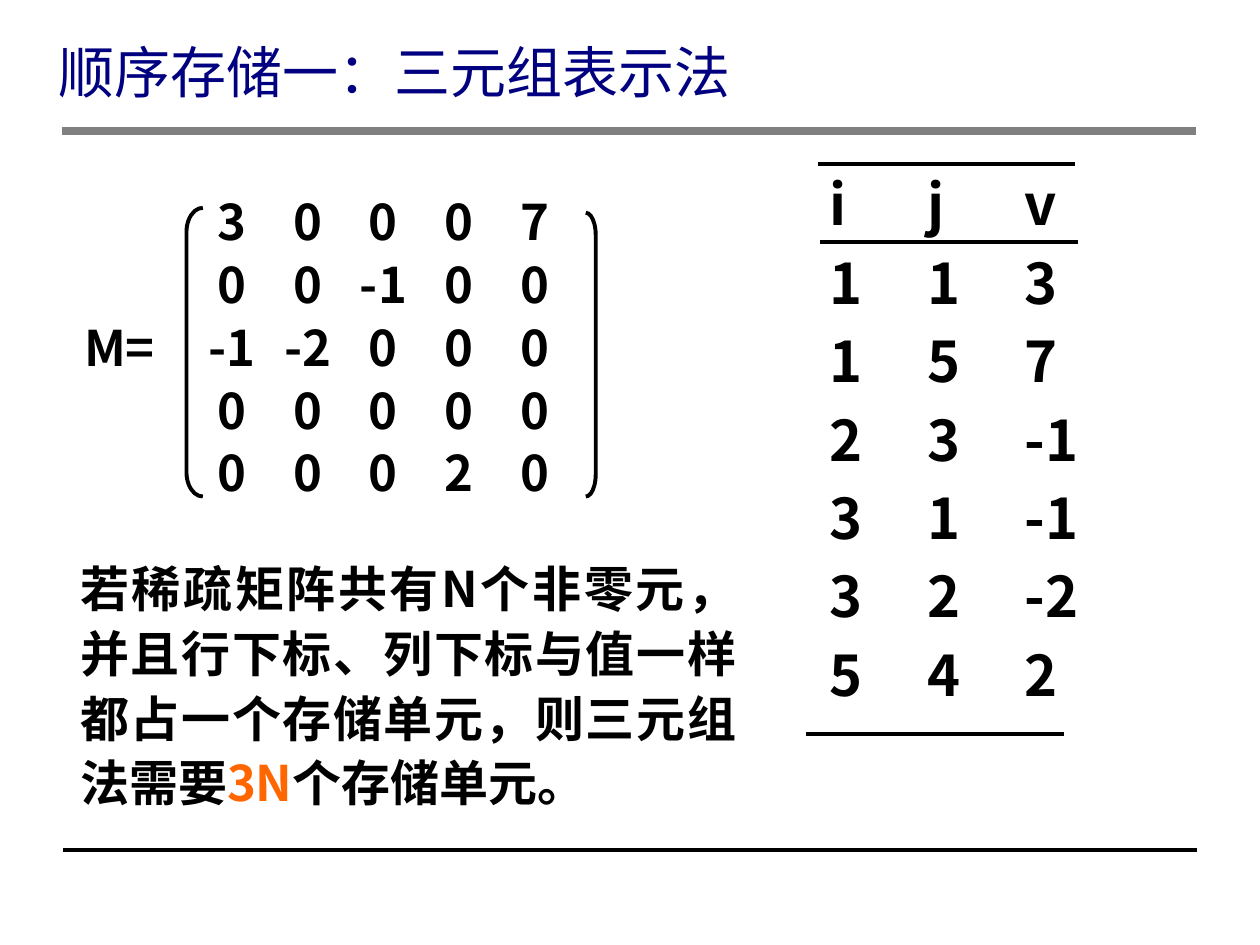
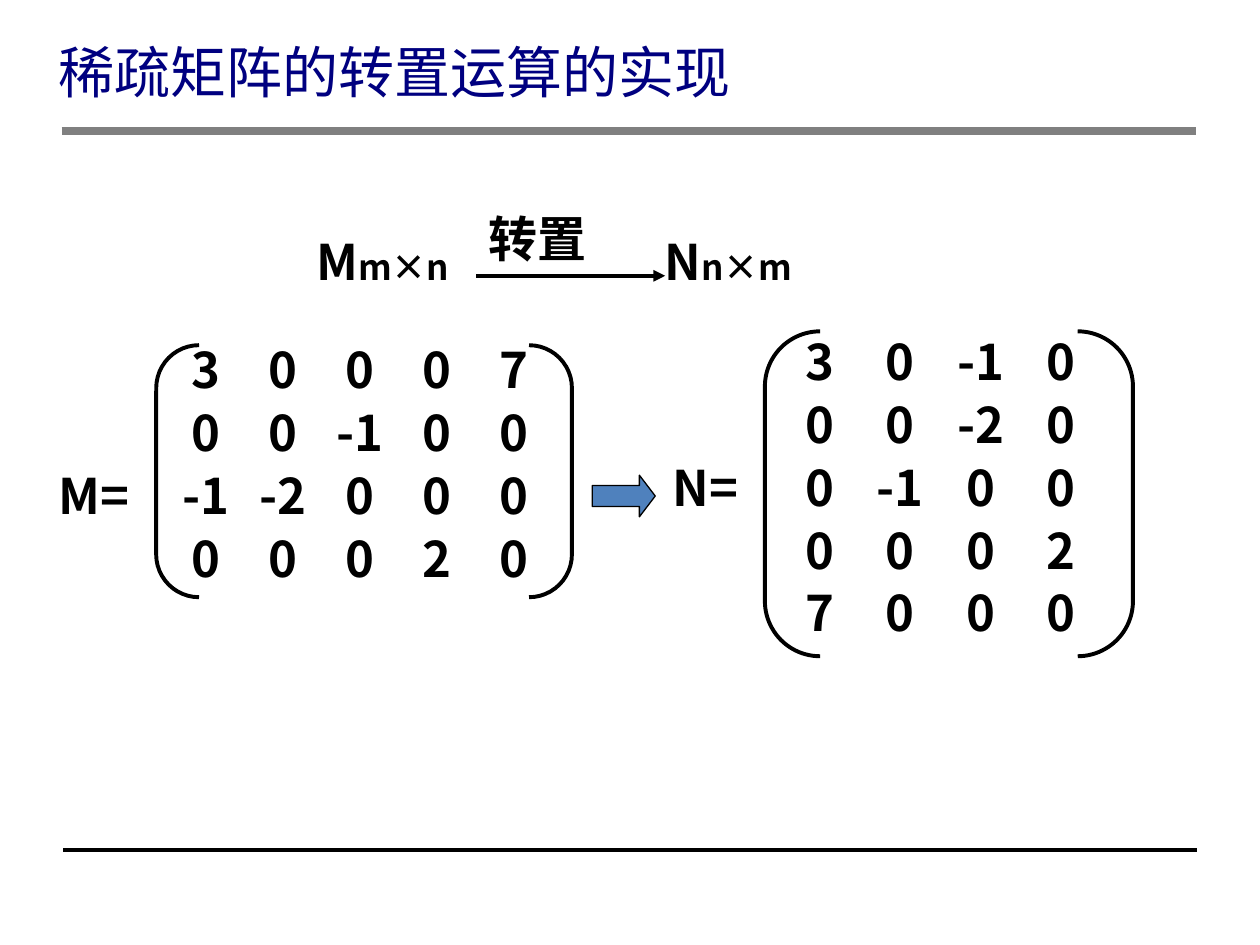
from collections import namedtuple

from pptx import Presentation
from pptx.dml.color import RGBColor
from pptx.enum.shapes import MSO_CONNECTOR, MSO_SHAPE
from pptx.enum.text import MSO_ANCHOR, MSO_AUTO_SIZE, PP_ALIGN
from pptx.oxml import parse_xml
from pptx.oxml.ns import nsdecls, qn
from pptx.util import Cm, Pt

STRAIGHT = MSO_CONNECTOR.STRAIGHT
LEFT_BRACKET = MSO_SHAPE.LEFT_BRACKET
RIGHT_BRACKET = MSO_SHAPE.RIGHT_BRACKET
BRACKET_PAIR = MSO_SHAPE.DOUBLE_BRACKET
RIGHT_ARROW = MSO_SHAPE.RIGHT_ARROW
MIDDLE = MSO_ANCHOR.MIDDLE
NO_AUTOFIT = MSO_AUTO_SIZE.NONE
LEFT = PP_ALIGN.LEFT
CENTER = PP_ALIGN.CENTER
JUSTIFY = PP_ALIGN.JUSTIFY

FONT = "Noto Sans CJK SC"
BLACK = "000000"
NAVY = "000080"
GRAY = "808080"
ORANGE = "FF6600"
BLUE = "4F81BD"

TITLE_ONLY = 5
INSET = 0.25
FIRST_COLUMN = 3.22
ROW_PITCH = 1.27
LABEL_ROW = 2
GAP_RATIO = 0.2

Box = namedtuple("Box", "left top width height")
TITLE_BOX = Box(0.92, 0.64, 17.35, 1.52)


def color(value):
    """Turn a hex string into a colour."""
    return RGBColor.from_string(value)


def place(shape, box):
    """Move a shape to a box given in centimetres."""
    shape.left, shape.top, shape.width, shape.height = map(Cm, box)


def format_paragraph(paragraph, size, bold=True, hex_color=BLACK, spacing=1.0,
                     gap=0, alignment=LEFT):
    """Set the font, spacing and alignment of a paragraph."""
    paragraph.alignment = alignment
    paragraph.line_spacing = spacing
    paragraph.space_before = Pt(gap)
    font = paragraph.font
    font.name, font.size, font.bold = FONT, Pt(size), bold
    font.color.rgb = color(hex_color)
    paragraph._p.pPr.find(qn("a:defRPr")).find(qn("a:latin")).addnext(
        parse_xml(f'<a:ea {nsdecls("a")} typeface="{FONT}"/>'))


def add_text_frame(slide, box):
    """Add a wrapping text box and return its text frame."""
    text_frame = slide.shapes.add_textbox(*map(Cm, box)).text_frame
    text_frame.word_wrap = True
    return text_frame


def fill_lines(text_frame, lines, size, **style):
    """Write one formatted paragraph for each line."""
    text_frame.text = "\n".join(lines)
    for paragraph in text_frame.paragraphs:
        format_paragraph(paragraph, size, **style)


def add_columns(slide, box, rows, size, **style):
    """Write rows of numbers as equally wide columns that fill the box."""
    columns = list(zip(*(row.split() for row in rows)))
    width = box.width / len(columns)
    for index, column in enumerate(columns):
        text_frame = add_text_frame(
            slide, Box(box.left + index * width, box.top, width, box.height))
        text_frame.margin_left = text_frame.margin_right = 0
        fill_lines(text_frame, column, size, gap=GAP_RATIO * size, **style)


def add_line(slide, start, end, width=2.25, hex_color=BLACK, arrow=False):
    """Draw a straight line, with an arrowhead at its end if wanted."""
    connector = slide.shapes.add_connector(STRAIGHT, *map(Cm, start + end))
    connector.line.width = Pt(width)
    connector.line.color.rgb = color(hex_color)
    if arrow:
        connector.line._get_or_add_ln().append(
            parse_xml(f'<a:tailEnd {nsdecls("a")} type="triangle"/>'))
    connector.element.spPr.append(parse_xml(f'<a:effectLst {nsdecls("a")}/>'))
    return connector


def add_preset(slide, kind, box, adjustments, fill=None, width=2.25):
    """Draw an outlined preset shape."""
    shape = slide.shapes.add_shape(kind, *map(Cm, box))
    shape.shadow.inherit = False
    for index, adjustment in enumerate(adjustments):
        shape.adjustments[index] = adjustment
    if fill:
        shape.fill.solid()
        shape.fill.fore_color.rgb = color(fill)
    else:
        shape.fill.background()
    shape.line.color.rgb = color(BLACK)
    shape.line.width = Pt(width)


def add_master_rules(presentation, slide):
    """Draw the header and footer rules and hand them to the master."""
    rules = (add_line(slide, (1.27, 17.14), (24.13, 17.14), 2),
             add_line(slide, (1.24, 2.64), (24.1, 2.64), 5, GRAY))
    for number, rule in enumerate(rules, 20):
        rule.element.nvCxnSpPr.cNvPr.id = number
        presentation.slide_master.element.cSld.spTree.append(rule.element)


def add_titled_slide(presentation, title):
    """Add a slide with the shared title style."""
    slide = presentation.slides.add_slide(presentation.slide_layouts[TITLE_ONLY])
    shape = slide.shapes.title
    place(shape, TITLE_BOX)
    shape.text_frame.auto_size = NO_AUTOFIT
    shape.text_frame.vertical_anchor = MIDDLE
    fill_lines(shape.text_frame, [title], 32, bold=False, hex_color=NAVY, spacing=Pt(40))
    return slide


def add_matrix(slide, box, name, rows, pitch):
    """Write a named matrix in evenly spaced, centred columns."""
    label_box = Box(box.left, box.top + LABEL_ROW * ROW_PITCH, 2.2, 1.4)
    fill_lines(add_text_frame(slide, label_box), [f"{name}="], 28, spacing=0.9)
    width = pitch * len(rows[0].split())
    grid_box = Box(box.left + FIRST_COLUMN - pitch / 2, box.top, width, box.height)
    add_columns(slide, grid_box, rows, 28, spacing=0.9, alignment=CENTER)


def add_triples(slide, box, rows):
    """Write the list of triples between its three rules."""
    add_columns(slide, Box(box.left + INSET, box.top, 5.88, box.height), rows, 32)
    for shift, drop in ((0, 0), (0.06, 1.57), (-0.23, 11.5)):
        left, top = box.left + shift, box.top + drop
        add_line(slide, (left, top), (left + 5.2, top))


def add_storage_note(slide, box):
    """Write the storage cost with the amount highlighted."""
    paragraph = add_text_frame(slide, box).paragraphs[0]
    parts = ("若稀疏矩阵共有N个非零元，并且行下标、列下标与值一样都占一个存储单元，则三元组法需要",
             "3N", "个存储单元。")
    for part in parts:
        paragraph.add_run().text = part
    paragraph.runs[1].font.color.rgb = color(ORANGE)
    format_paragraph(paragraph, 28, spacing=Pt(37), alignment=JUSTIFY)


def add_sized_name(slide, box, name, dimensions):
    """Write a matrix name followed by its smaller dimensions."""
    paragraph = add_text_frame(slide, box).paragraphs[0]
    for text, size in ((name, 28), (dimensions, 20)):
        run = paragraph.add_run()
        run.text = text
        run.font.size = Pt(size)
    format_paragraph(paragraph, 28)


def add_transpose_formula(slide, box):
    """Write both matrix sizes with a labelled arrow between them."""
    name_box = Box(box.left, box.top, 3.6, box.height)
    add_sized_name(slide, name_box, "M", "m×n")
    add_sized_name(slide, name_box._replace(left=box.left + 7.02), "N", "n×m")
    left, line_top = box.left + 3.47, box.top + 1.01
    add_line(slide, (left, line_top), (left + 3.81, line_top), arrow=True)
    label = add_text_frame(slide, Box(left, box.top - 0.47, 3.38, 1.45))
    fill_lines(label, ["转置"], 28)


def build_triples_slide(presentation):
    """Build the slide on storage as triples."""
    slide = add_titled_slide(presentation, "顺序存储一：三元组表示法")
    add_master_rules(presentation, slide)
    add_matrix(slide, Box(1.45, 3.88, 12.27, 6.55), "M",
               ("3 0 0 0 7", "0 0 -1 0 0", "-1 -2 0 0 0", "0 0 0 0 0", "0 0 0 2 0"), 1.53)
    add_preset(slide, LEFT_BRACKET, Box(3.76, 4.19, 0.33, 5.82), [1.48])
    add_preset(slide, RIGHT_BRACKET, Box(11.81, 4.29, 0.2, 5.72), [2.25])
    add_storage_note(slide, Box(1.37, 11.02, 13.72, 5.49))
    add_triples(slide, Box(16.48, 3.3, 5.51, 12.7),
                ("i j v", "1 1 3", "1 5 7", "2 3 -1", "3 1 -1", "3 2 -2", "5 4 2"))


def build_transpose_slide(presentation):
    """Build the slide on transposing a sparse matrix."""
    slide = add_titled_slide(presentation, "稀疏矩阵的转置运算的实现")
    add_transpose_formula(slide, Box(6.13, 4.55, 10.62, 1.45))
    add_matrix(slide, Box(13.31, 6.7, 11, 6.6), "N",
               ("3 0 -1 0", "0 0 -2 0", "0 -1 0 0", "0 0 0 2", "7 0 0 0"), 1.62)
    add_preset(slide, BRACKET_PAIR, Box(15.42, 6.68, 7.42, 6.55), [0.17])
    add_preset(slide, RIGHT_ARROW, Box(11.94, 9.58, 1.27, 0.84), [0.5, 0.38], BLUE, 0.75)
    add_matrix(slide, Box(0.94, 6.86, 12.27, 5.28), "M",
               ("3 0 0 0 7", "0 0 -1 0 0", "-1 -2 0 0 0", "0 0 0 2 0"), 1.55)
    add_preset(slide, BRACKET_PAIR, Box(3.15, 6.96, 8.38, 5.08), [0.17])


def main():
    """Build and save the presentation."""
    presentation = Presentation()
    presentation.slide_width, presentation.slide_height = Cm(25.4), Cm(19.05)
    build_triples_slide(presentation)
    build_transpose_slide(presentation)
    presentation.save("out.pptx")


if __name__ == "__main__":
    main()
